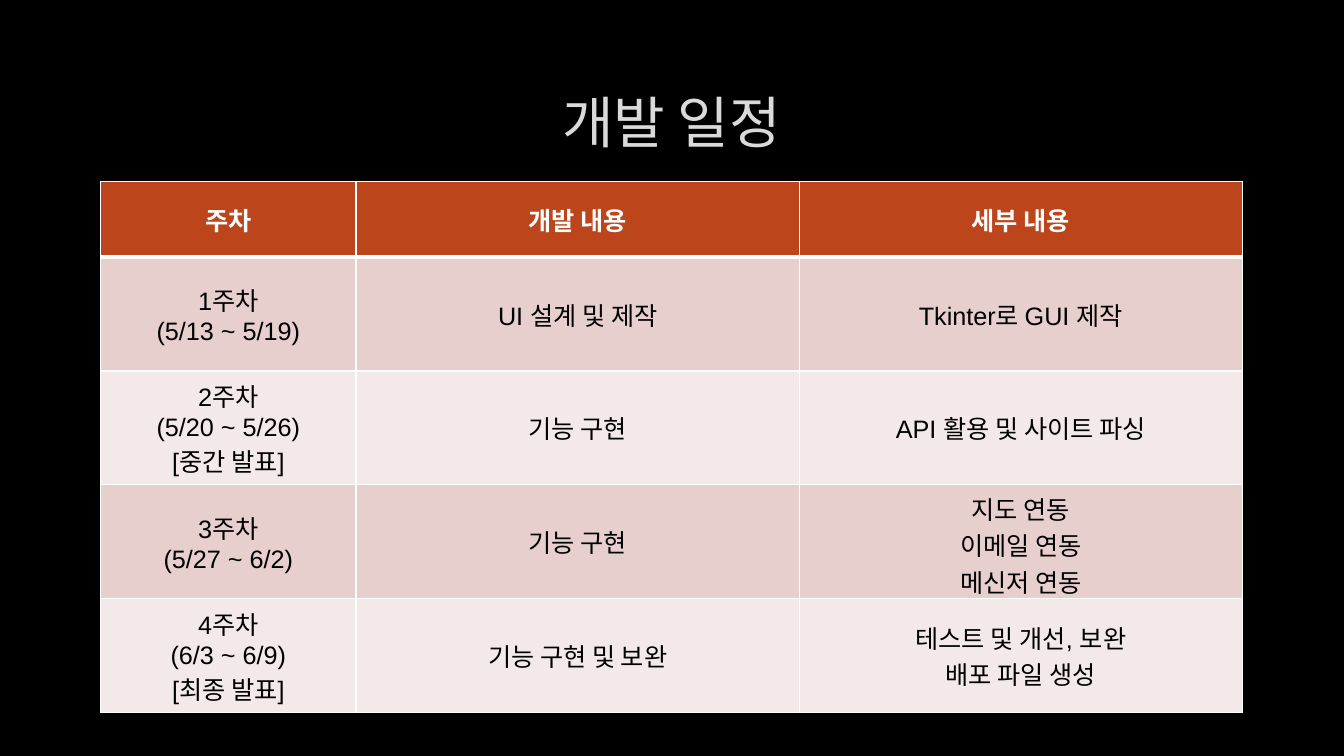
from lxml import etree
from pptx import Presentation
from pptx.dml.color import RGBColor
from pptx.enum.text import MSO_ANCHOR, PP_ALIGN
from pptx.oxml.ns import qn
from pptx.util import Inches, Pt

CENTER = PP_ALIGN.CENTER
MIDDLE = MSO_ANCHOR.MIDDLE
FONT = "Arial"
HEADER_FILL = "BC451B"
BAND_FILLS = ["E7CFCD", "F3E9E8"]
COL_WIDTHS = [2.53, 4.4, 4.39]
HEADER_HEIGHT, ROW_HEIGHT = 0.75, 1.13

# Each cell holds one paragraph per line
SCHEDULE = [
    ["주차", "개발 내용", "세부 내용"],
    ["1주차\n(5/13 ~ 5/19)", "UI 설계 및 제작", "Tkinter로 GUI 제작"],
    ["2주차\n(5/20 ~ 5/26)\n[중간 발표]", "기능 구현", "API 활용 및 사이트 파싱"],
    ["3주차\n(5/27 ~ 6/2)", "기능 구현", "지도 연동\n이메일 연동\n메신저 연동"],
    ["4주차\n(6/3 ~ 6/9)\n[최종 발표]", "기능 구현 및 보완",
     "테스트 및 개선, 보완\n배포 파일 생성"],
]


def rgb(color):
    return RGBColor.from_string(color)


def write_lines(tf, text, size, color, bold=False):
    for i, line in enumerate(text.split("\n")):
        p = tf.paragraphs[0] if i == 0 else tf.add_paragraph()
        p.alignment = CENTER
        r = p.add_run()
        r.text = line
        r.font.name = FONT
        r.font.size = Pt(size)
        r.font.bold = bold
        r.font.color.rgb = rgb(color)


def add_line_fill(ln, color, alpha=None):
    fill = etree.SubElement(ln, qn("a:solidFill"))
    clr = etree.SubElement(fill, qn("a:srgbClr"), val=color)
    if alpha is not None:
        etree.SubElement(clr, qn("a:alpha"), val=str(alpha * 1000))


def add_title(s, text):
    sp = s.shapes.add_textbox(Inches(1), Inches(0.67), Inches(11.32), Inches(1.06))
    tf = sp.text_frame
    tf.word_wrap = True
    tf.vertical_anchor = MIDDLE
    write_lines(tf, text, 40, "DADADA")
    # Faint outline around the letters
    rPr = tf.paragraphs[0].runs[0].font._element
    ln = etree.Element(qn("a:ln"), w=str(Pt(0.75)))
    add_line_fill(ln, "404040", 10)
    rPr.insert(0, ln)


def set_borders(cell, widths):
    tcPr = cell._tc.get_or_add_tcPr()
    for i, (side, width) in enumerate(widths.items()):
        ln = etree.Element(qn(f"a:ln{side}"), w=str(Pt(width)))
        add_line_fill(ln, "FFFFFF")
        tcPr.insert(i, ln)


def add_schedule(s):
    heights = [HEADER_HEIGHT] + [ROW_HEIGHT] * (len(SCHEDULE) - 1)
    table = s.shapes.add_table(
        len(SCHEDULE), len(COL_WIDTHS), Inches(1), Inches(1.8),
        Inches(sum(COL_WIDTHS)), Inches(sum(heights))).table
    for col, width in zip(table.columns, COL_WIDTHS):
        col.width = Inches(width)
    for i, (texts, height) in enumerate(zip(SCHEDULE, heights)):
        table.rows[i].height = Inches(height)
        header = i == 0
        for j, text in enumerate(texts):
            cell = table.cell(i, j)
            cell.vertical_anchor = MIDDLE
            cell.fill.solid()
            cell.fill.fore_color.rgb = rgb(HEADER_FILL if header else BAND_FILLS[(i - 1) % 2])
            # The rule below the header is thicker
            set_borders(cell, {"L": 1, "R": 1, "T": 3 if i == 1 else 1,
                               "B": 3 if header else 1})
            write_lines(cell.text_frame, text, 18,
                        "FFFFFF" if header else "000000", header)


def main():
    prs = Presentation()
    prs.slide_width, prs.slide_height = Inches(13.33), Inches(7.5)
    s = prs.slides.add_slide(prs.slide_layouts[6])
    s.background.fill.solid()
    s.background.fill.fore_color.rgb = rgb("000000")
    add_title(s, "개발 일정")
    add_schedule(s)
    prs.save("out.pptx")


if __name__ == "__main__":
    main()
